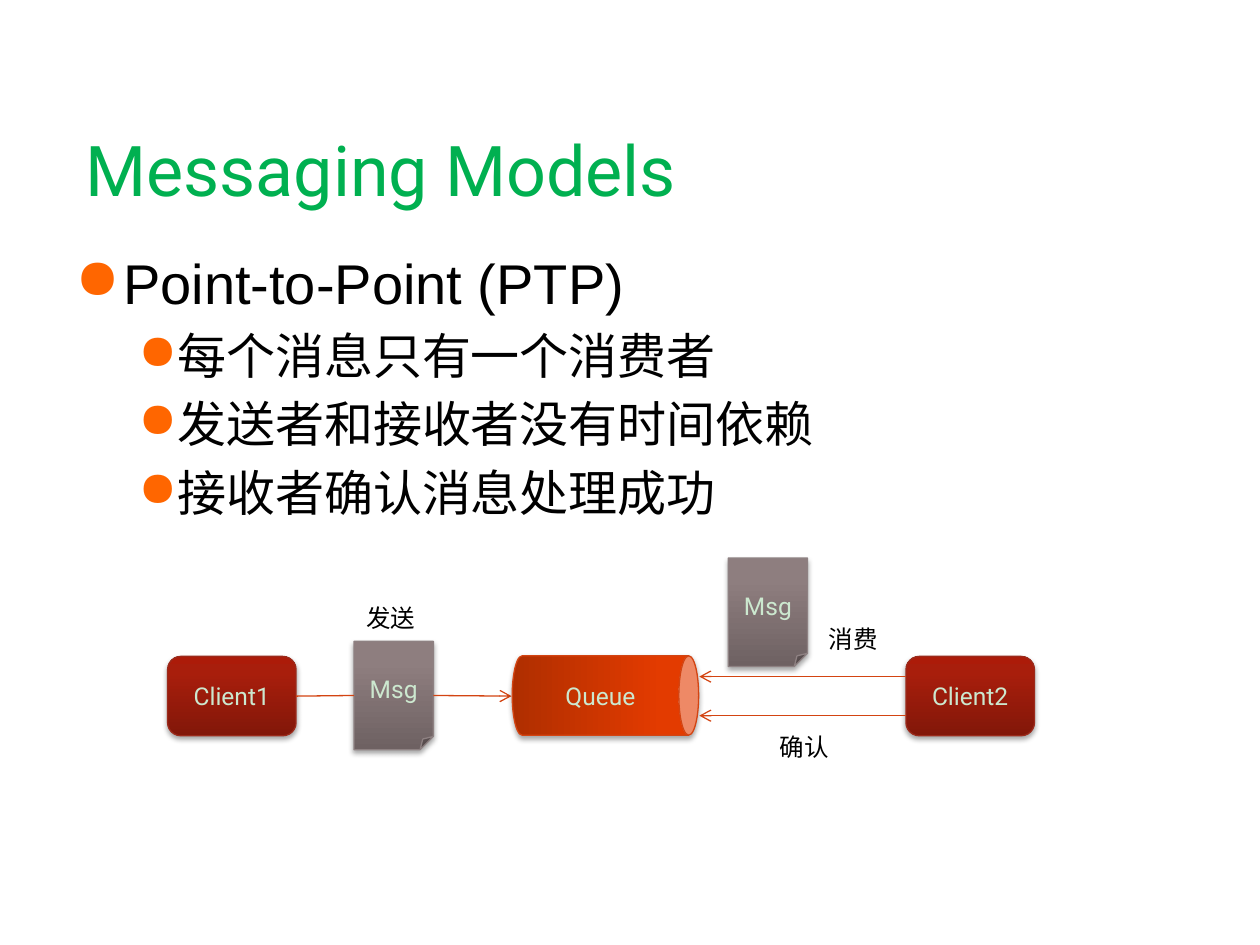
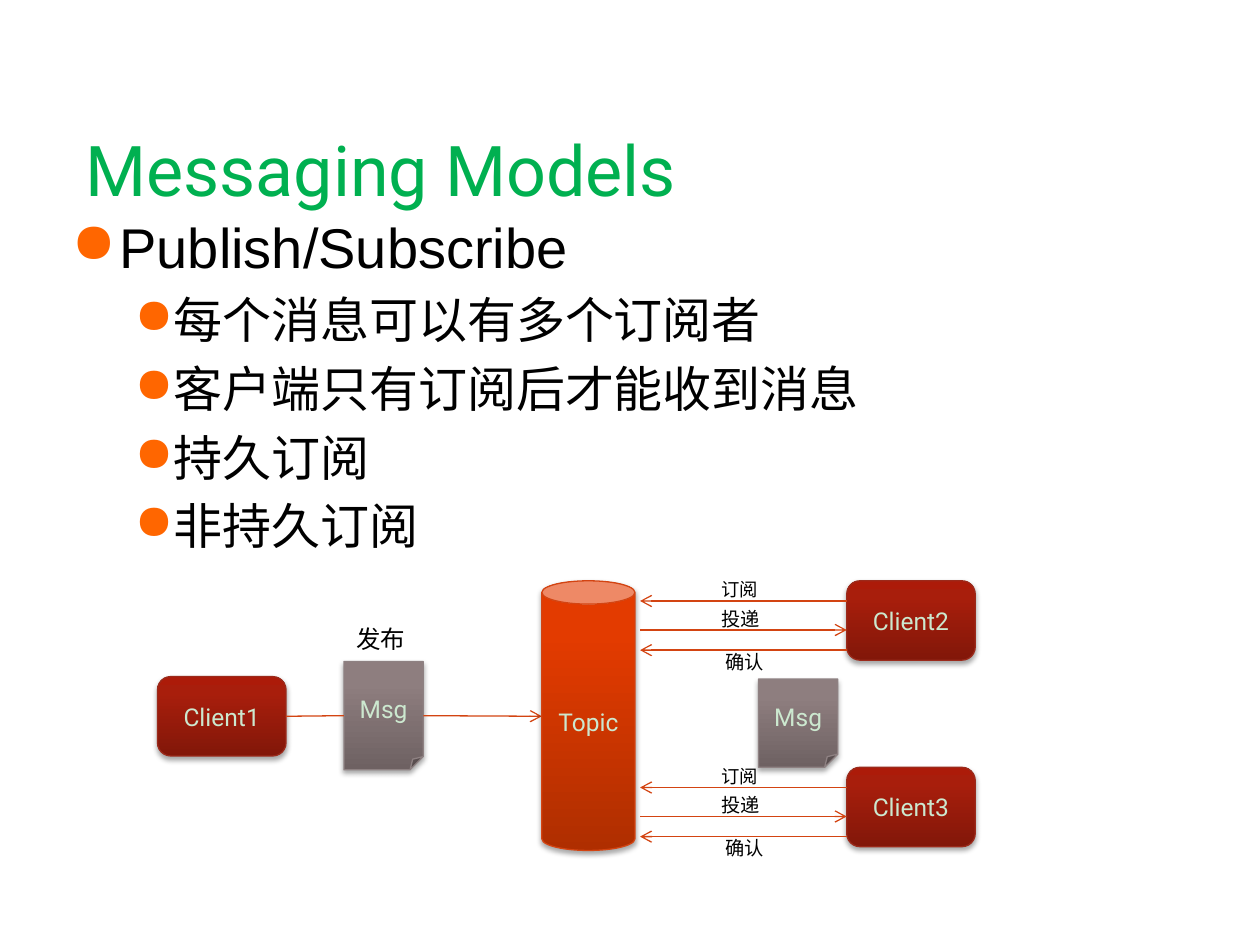
from copy import deepcopy

from lxml.etree import SubElement
from pptx import Presentation
from pptx.dml.color import RGBColor
from pptx.enum.shapes import MSO_CONNECTOR, MSO_SHAPE
from pptx.enum.text import MSO_ANCHOR, MSO_AUTO_SIZE, PP_ALIGN
from pptx.oxml.ns import qn
from pptx.util import Inches, Pt

COLORS = {
    "title": "00B050",
    "text": "000000",
    "bullet": "FF6600",
    "shape_text": "CCE8CF",
    "arrow": "D34412",
    "shadow": "000000",
}
STYLES = {
    "client": (("821709", "A81E0C", "AC1B09"), "9B2A1B"),
    "message": (("6E6162", "8E7E7F", "8F7E80"), "8E8182"),
    "channel": (("AF2E00", "E33B00", "E43B00"), "D34412"),
}
LEVELS = ((32, 0.38, -0.38), (28, 0.81, -0.31))
CLIENT_SIZE = (1.02, 0.63)
MESSAGE_SIZE = (0.63, 0.86)


def rgb(name):
    """Return the named colour."""
    return RGBColor.from_string(COLORS[name])


def set_font(paragraph, size, color, face="Roboto"):
    """Set the size, colour and face of a paragraph."""
    paragraph.font.size = Pt(size)
    paragraph.font.name = face
    paragraph.font.color.rgb = rgb(color)


def add_xml(parent, tag, **attributes):
    """Append a drawing element with the given attributes."""
    return SubElement(parent, qn(tag), attributes)


def add_box(page, left, top, width, height):
    """Add an empty wrapping text box."""
    box = page.shapes.add_textbox(Inches(left), Inches(top), Inches(width), Inches(height))
    box.text_frame.word_wrap = True
    return box


def add_title(page, text):
    """Add the slide title."""
    frame = add_box(page, 0.58, 1, 8.92, 0.67).text_frame
    frame.vertical_anchor = MSO_ANCHOR.MIDDLE
    frame.text = text
    set_font(frame.paragraphs[0], 40, "title")


def add_bullets(page, left, top, height, heading, points):
    """Add a heading with second-level points, all bulleted."""
    frame = add_box(page, left, top, 9, height).text_frame
    frame.text = "\n".join([heading, *points])
    for index, paragraph in enumerate(frame.paragraphs):
        paragraph.level = min(index, 1)
        size, margin, indent = LEVELS[paragraph.level]
        set_font(paragraph, size, "text", "Arial")
        properties = paragraph._p.get_or_add_pPr()
        properties.set("marL", str(Inches(margin)))
        properties.set("indent", str(Inches(indent)))
        add_xml(add_xml(properties, "a:spcBef"), "a:spcPct", val="20000")
        add_xml(add_xml(properties, "a:buClr"), "a:srgbClr", val=COLORS["bullet"])
        add_xml(properties, "a:buChar", char="●")


def add_shadow(shape):
    """Give a shape a soft shadow below it."""
    shape.shadow.inherit = False
    effects = shape._element.spPr.find(qn("a:effectLst"))
    shadow = add_xml(effects, "a:outerShdw", blurRad=str(Pt(3.1)), dist=str(Pt(1.8)),
                     dir="5400000", rotWithShape="0")
    color = add_xml(shadow, "a:srgbClr", val=COLORS["shadow"])
    add_xml(color, "a:alpha", val="35000")


def add_node(page, kind, style, text, left, top, width, height):
    """Add a captioned shape with a vertical gradient."""
    shape = page.shapes.add_shape(kind, Inches(left), Inches(top), Inches(width), Inches(height))
    shades, outline = STYLES[style]
    shape.fill.gradient()
    shape.fill.gradient_angle = 90
    stops = shape._element.spPr.find(".//" + qn("a:gsLst"))
    stops.append(deepcopy(stops[0]))
    for stop, position, shade in zip(shape.fill.gradient_stops, (0, 0.8, 1), shades):
        stop.position = position
        stop.color.rgb = RGBColor.from_string(shade)
    shape.line.color.rgb = RGBColor.from_string(outline)
    shape.line.width = Pt(0.75)
    add_shadow(shape)
    frame = shape.text_frame
    frame.text = text
    frame.vertical_anchor = MSO_ANCHOR.MIDDLE
    frame.paragraphs[0].alignment = PP_ALIGN.CENTER
    set_font(frame.paragraphs[0], 14, "shape_text")
    return shape


def add_client(page, text, left, top):
    """Add a client box."""
    return add_node(page, MSO_SHAPE.ROUNDED_RECTANGLE, "client", text, left, top, *CLIENT_SIZE)


def add_message(page, left, top, size=MESSAGE_SIZE):
    """Add a message sheet."""
    return add_node(page, MSO_SHAPE.FOLDED_CORNER, "message", "Msg", left, top, *size)


def add_label(page, text, left, top, size=14):
    """Add a small label that fits its text."""
    extent = size * 2 / 72 + 0.2
    frame = add_box(page, left, top, extent, size / 60 + 0.1).text_frame
    frame.word_wrap = False
    frame.auto_size = MSO_AUTO_SIZE.SHAPE_TO_FIT_TEXT
    frame.text = text
    set_font(frame.paragraphs[0], size, "text")


def add_line(page, start, end, y, arrow=True):
    """Add a horizontal line, with an arrowhead at its end if wanted."""
    line = page.shapes.add_connector(
        MSO_CONNECTOR.STRAIGHT, Inches(start), Inches(y), Inches(end), Inches(y))
    line.line.color.rgb = rgb("arrow")
    line.line.width = Pt(0.75)
    if arrow:
        add_xml(line.line._get_or_add_ln(), "a:tailEnd", type="arrow")
    add_xml(line._element.spPr, "a:effectLst")
    return line


def add_sender(page, left, top, verb, channel_left):
    """Add Client1 sending a message to the channel."""
    message_left = left + 1.48
    middle = top + CLIENT_SIZE[1] / 2
    client = add_client(page, "Client1", left, top)
    message = add_message(page, message_left, top - 0.12)
    add_label(page, verb, message_left, top - 0.47)
    link = add_line(page, left + CLIENT_SIZE[0], message_left, middle, arrow=False)
    link.begin_connect(client, 3)
    link.end_connect(message, 1)
    delivery = add_line(page, message_left + MESSAGE_SIZE[0], channel_left, middle)
    delivery.begin_connect(message, 3)


def add_subscriber(page, text, top):
    """Add a client that subscribes, receives and confirms."""
    left, topic_side = 6.72, 5.08
    add_client(page, text, left, top)
    add_line(page, left, topic_side, top + 0.16)
    add_line(page, topic_side, left, top + 0.39)
    add_line(page, left, topic_side, top + 0.55)
    add_label(page, "订阅", 5.63, top - 0.07, 10.5)
    add_label(page, "投递", 5.63, top + 0.16, 11)
    add_label(page, "确认", 5.66, top + 0.5, 11)


def add_point_to_point(page):
    """Draw the queue model."""
    add_bullets(page, 0.5, 1.92, 4.78, "Point-to-Point (PTP)",
                ["每个消息只有一个消费者", "发送者和接收者没有时间依赖", "接收者确认消息处理成功"])
    add_sender(page, 1.33, 5.21, "发送", 4.06)
    queue = add_node(page, MSO_SHAPE.CAN, "channel", "Queue", 4.49, 4.78, 0.63, 1.48)
    queue.rotation = 90
    queue.text_frame._txBody.bodyPr.set("vert", "vert270")
    add_client(page, "Client2", 7.19, 5.21)
    for y in (5.37, 5.68):
        add_line(page, 7.19, 5.55, y)
    add_message(page, 5.78, 4.43)
    add_label(page, "消费", 6.48, 4.9)
    add_label(page, "确认", 6.09, 5.76)


def add_publish_subscribe(page):
    """Draw the topic model."""
    add_bullets(page, 0.47, 1.64, 5.06, "Publish/Subscribe",
                ["每个消息可以有多个订阅者", "客户端只有订阅后才能收到消息", "持久订阅", "非持久订阅"])
    add_sender(page, 1.25, 5.37, "发布", 4.3)
    add_node(page, MSO_SHAPE.CAN, "channel", "Topic", 4.3, 4.61, 0.74, 2.14)
    add_message(page, 6.02, 5.39, (0.63, 0.7))
    add_subscriber(page, "Client2", 4.61)
    add_subscriber(page, "Client3", 6.09)


def main():
    """Build and save the deck."""
    deck = Presentation()
    deck.slide_width, deck.slide_height = Inches(10), Inches(7.5)
    for add_model in (add_point_to_point, add_publish_subscribe):
        page = deck.slides.add_slide(deck.slide_layouts[6])
        add_title(page, "Messaging Models")
        add_model(page)
    deck.save("out.pptx")


if __name__ == "__main__":
    main()
